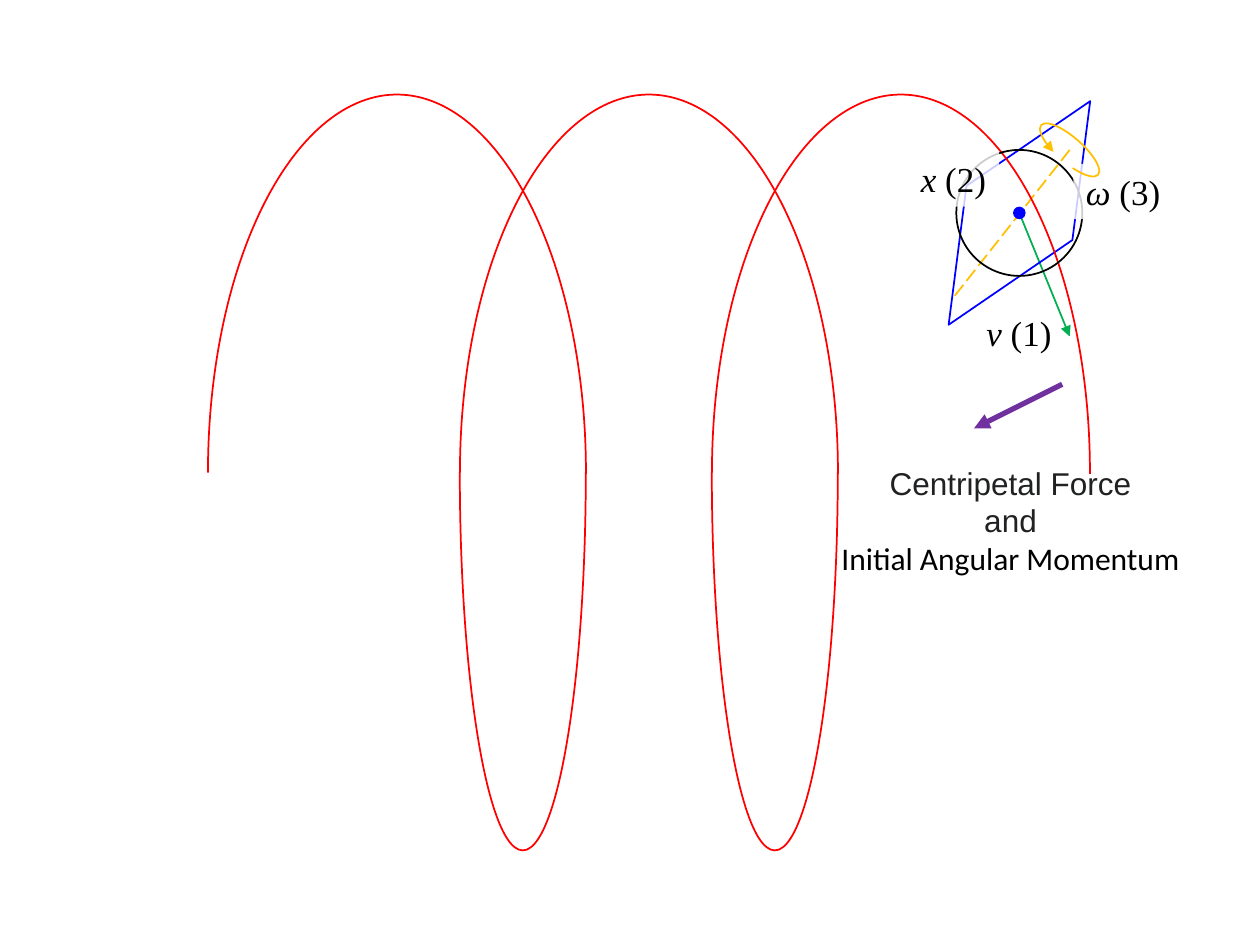
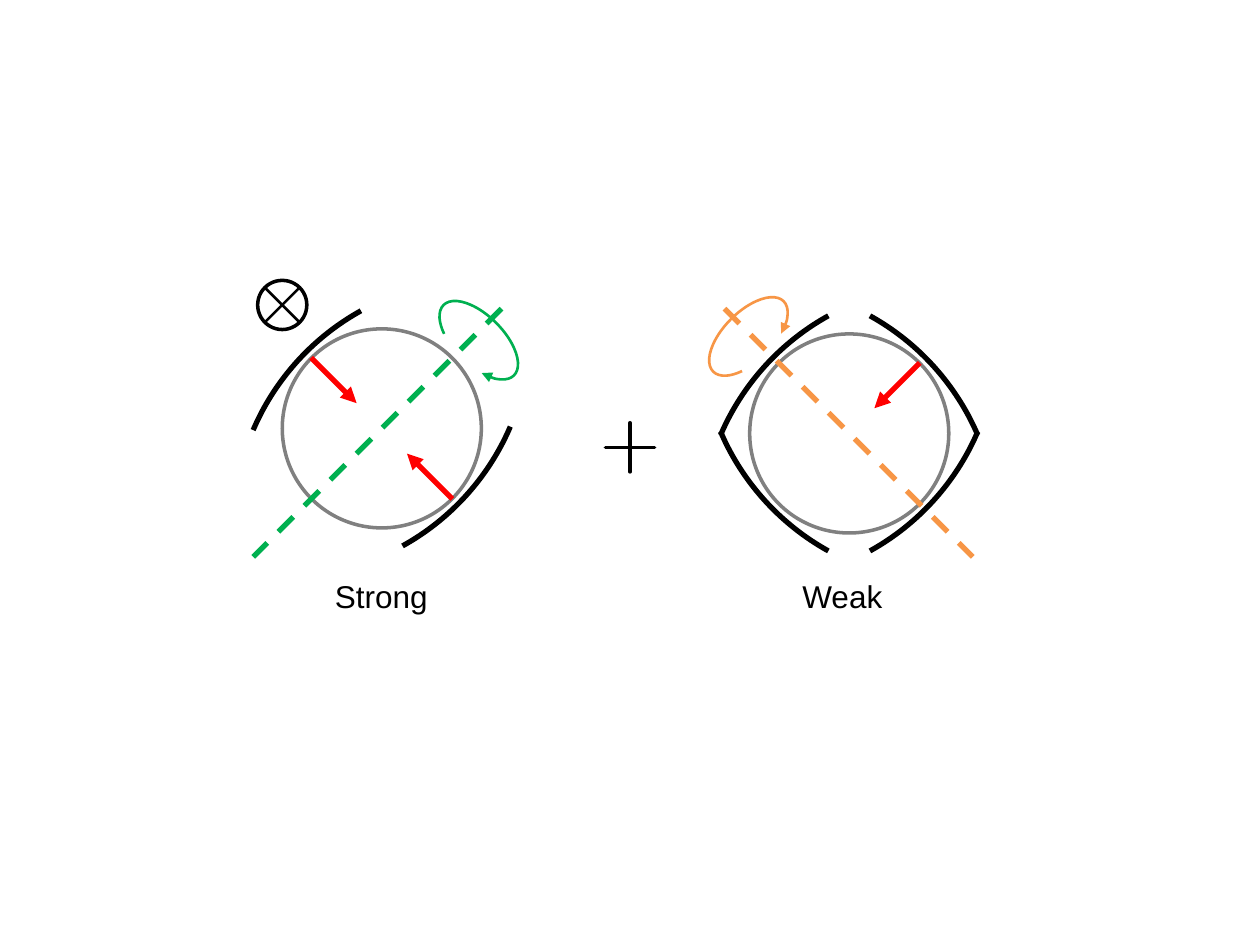
"""Build two physics diagrams: a spiralling ball and the forces on strong and weak spins."""
from dataclasses import dataclass

from lxml.etree import SubElement
from pptx import Presentation
from pptx.dml.color import RGBColor
from pptx.enum.dml import MSO_LINE as DASH
from pptx.enum.shapes import MSO_CONNECTOR, MSO_SHAPE as SHAPE
from pptx.enum.text import MSO_AUTO_SIZE, PP_ALIGN as ALIGN
from pptx.oxml.ns import qn
from pptx.util import Inches, Pt


@dataclass(frozen=True)
class Theme:
    black: str = "000000"
    white: str = "FFFFFF"
    gray: str = "808080"
    ink: str = "202122"
    red: str = "FF0000"
    blue: str = "0000FF"
    green: str = "00B050"
    gold: str = "FFC000"
    orange: str = "F79646"
    purple: str = "7030A0"
    sans: str = "Arial"
    humanist: str = "Calibri"
    serif: str = "Times New Roman"
    text: int = 18
    symbol: int = 20
    thin: float = 1
    fine: float = 1.5
    medium: float = 2
    bold: float = 3


T = Theme()
W, H = 10, 7.5

BALL = (8.09, 1.69)
HELIX = {"left": 1.65, "top": 0.75, "height": 6, "arch": 3, "loop": 1, "turns": 3}
HALF_TURN = (216, 108.247)
SYMBOLS = {
    "v": (" (1)", (7.73, 2.42, 0.72, 0.44)),
    "x": (" (2)", (7.21, 1.2, 0.72, 0.44)),
    "ω": (" (3)", (8.52, 1.3, 0.8, 0.44)),
}
CAUSES = [
    ("Centripetal Force", T.sans, T.ink),
    ("and", T.sans, T.ink),
    ("Initial Angular Momentum", T.humanist, T.black),
]

RADIUS, RAIL, RAIL_NEAR, RAIL_FAR = 0.79, 3.94, -1.18, -2.76
RAIL_ARC, SPIN_ARC = (179.4, 202.08), (141.24, 77.97)
PUSH_FROM, PUSH_TO = 0.56, 0.2
CELLS = [
    {"name": "Strong", "width": 0.95, "at": (3.03, 3.4), "color": T.green,
     "rails": [(False, True), (True, False)], "pushes": [(-1, -1), (1, 1)],
     "axis": ((0.95, -0.95), (-1.02, 1.02)), "spin": (0.77, -0.7), "turn": 315},
    {"name": "Weak", "width": 0.84, "at": (6.74, 3.44), "color": T.orange,
     "rails": [(False, False), (False, True), (True, False), (True, True)],
     "pushes": [(1, -1)],
     "axis": ((-0.99, -0.99), (0.98, 0.98)), "spin": (-0.8, -0.77), "turn": 225},
]


def rgb(color):
    return RGBColor.from_string(color)


def shift(at, *offset):
    return tuple(a + d for a, d in zip(at, offset))


def centred(at, w, h):
    return at[0] - w / 2, at[1] - h / 2, w, h


def stroke(sp, color, width, dash=None, head=False, tail=False):
    sp.line.color.rgb = rgb(color)
    sp.line.width = Pt(width)
    if dash:
        sp.line.dash_style = dash
    ln = sp._element.spPr.find(qn("a:ln"))
    for tag, wanted in (("a:headEnd", head), ("a:tailEnd", tail)):
        if wanted:
            SubElement(ln, qn(tag), type="triangle")


def line(shapes, start, end, color, width, **style):
    c = shapes.add_connector(MSO_CONNECTOR.STRAIGHT, *map(Inches, (*start, *end)))
    stroke(c, color, width, **style)
    SubElement(c._element.spPr, qn("a:effectLst"))
    return c


def shape(shapes, kind, box, color=None, width=T.thin, fill=None, adj=(),
          rot=0, flip=(False, False), **style):
    sp = shapes.add_shape(kind, *map(Inches, box))
    sp.shadow.inherit = False
    sp.rotation = rot
    for i, value in enumerate(adj):
        sp.adjustments[i] = value
    for key, on in zip(("flipH", "flipV"), flip):
        if on:
            sp._element.spPr.xfrm.set(key, "1")
    if fill:
        sp.fill.solid()
        sp.fill.fore_color.rgb = rgb(fill)
    else:
        sp.fill.background()
    if color:
        stroke(sp, color, width, **style)
    else:
        sp.line.fill.background()
    return sp


def write(sp, paragraphs, align=ALIGN.LEFT):
    tf = sp.text_frame
    tf.word_wrap = False
    tf.auto_size = MSO_AUTO_SIZE.SHAPE_TO_FIT_TEXT
    for i, (runs, font, size, color) in enumerate(paragraphs):
        p = tf.add_paragraph() if i else tf.paragraphs[0]
        p.alignment = align
        p.font.name, p.font.size = font, Pt(size)
        p.font.color.rgb = rgb(color)
        for text, italic in runs:
            r = p.add_run()
            r.text = text
            if italic:
                r.font.italic = True


def caption(shapes, box, lines, align=ALIGN.LEFT):
    sp = shapes.add_textbox(*map(Inches, box))
    write(sp, [([(text, False)], font, T.text, color) for text, font, color in lines], align)


def symbol(shapes, name):
    number, box = SYMBOLS[name]
    sp = shape(shapes, SHAPE.RECTANGLE, box, fill=T.white)
    SubElement(sp._element.spPr.find(".//" + qn("a:srgbClr")), qn("a:alpha"), val="80000")
    write(sp, [([(name, True), (number, False)], T.serif, T.symbol, T.black)])


def helix(shapes):
    arch, loop, turns = HELIX["arch"], HELIX["loop"], HELIX["turns"]
    pitch = arch - loop
    for i in range(turns):
        x = HELIX["left"] + i * pitch
        arcs = [(x, arch, 180), (x + pitch, loop, 0)]
        for left, w, rot in arcs[:1 if i == turns - 1 else 2]:
            shape(shapes, SHAPE.ARC, (left, HELIX["top"], w, HELIX["height"]),
                  T.red, adj=HALF_TURN, rot=rot)


def spiral_slide(s):
    line(s, shift(BALL, 0.4, -0.5), shift(BALL, -0.53, 0.68), T.gold, T.thin,
         dash=DASH.LONG_DASH)
    symbol(s, "v")
    line(s, BALL, shift(BALL, 0.4, 0.98), T.green, T.thin, tail=True)
    shape(s, SHAPE.PARALLELOGRAM, centred(BALL, 1.93, 0.83), T.blue, adj=[0.891], rot=145.6)
    helix(s.add_group_shape().shapes)
    shape(s, SHAPE.OVAL, centred(BALL, 1, 1), T.black)
    shape(s, SHAPE.OVAL, centred(BALL, 0.1, 0.1), fill=T.blue)
    symbol(s, "x")
    symbol(s, "ω")
    shape(s, SHAPE.ARC, centred(shift(BALL, 0.4, -0.5), 0.2, 0.6), T.gold,
          adj=(133.05, 77.56), rot=311.1, head=True)
    line(s, (8.43, 3.05), (7.73, 3.4), T.purple, T.bold, tail=True)
    caption(s, (6.57, 3.63, 2.9, 1.01), CAUSES, ALIGN.CENTER)


def into_page(shapes, at, size=0.39, arm=0.14):
    shape(shapes, SHAPE.OVAL, centred(at, size, size), T.black, T.medium, fill=T.white)
    for side in (-1, 1):
        line(shapes, shift(at, side * arm, -arm), shift(at, -side * arm, arm), T.black, T.fine)


def cell(shapes, c):
    at = c["at"]
    shape(shapes, SHAPE.OVAL, centred(at, 2 * RADIUS, 2 * RADIUS), T.gray, T.medium)
    for h, v in c["rails"]:
        corner = shift(at, RAIL_NEAR if h else RAIL_FAR, RAIL_FAR if v else RAIL_NEAR)
        shape(shapes, SHAPE.ARC, (*corner, RAIL, RAIL), T.black, T.bold,
              adj=RAIL_ARC, flip=(h, v))
    for x, y in c["pushes"]:
        ends = [shift(at, x * d, y * d) for d in (PUSH_FROM, PUSH_TO)]
        line(shapes, *ends, T.red, T.bold, tail=True)
    line(shapes, *(shift(at, *end) for end in c["axis"]), c["color"], T.bold, dash=DASH.DASH)
    shape(shapes, SHAPE.ARC, centred(shift(at, *c["spin"]), 0.39, 0.79), c["color"], T.fine,
          adj=SPIN_ARC, rot=c["turn"], tail=True)


def forces_slide(s):
    into_page(s.add_group_shape().shapes, (2.24, 2.42))
    for c in CELLS:
        cell(s.add_group_shape().shapes, c)
    for c in CELLS:
        caption(s, (c["at"][0] - 0.47, 4.53, c["width"], 0.4), [(c["name"], T.sans, T.black)])
    shape(s, SHAPE.CROSS, centred((W / 2, 3.55), 0.39, 0.39), T.black, T.medium,
          fill=T.black, adj=[0.5])


prs = Presentation()
prs.slide_width, prs.slide_height = Inches(W), Inches(H)
for draw in (spiral_slide, forces_slide):
    draw(prs.slides.add_slide(prs.slide_layouts[6]).shapes)
prs.save("out.pptx")
